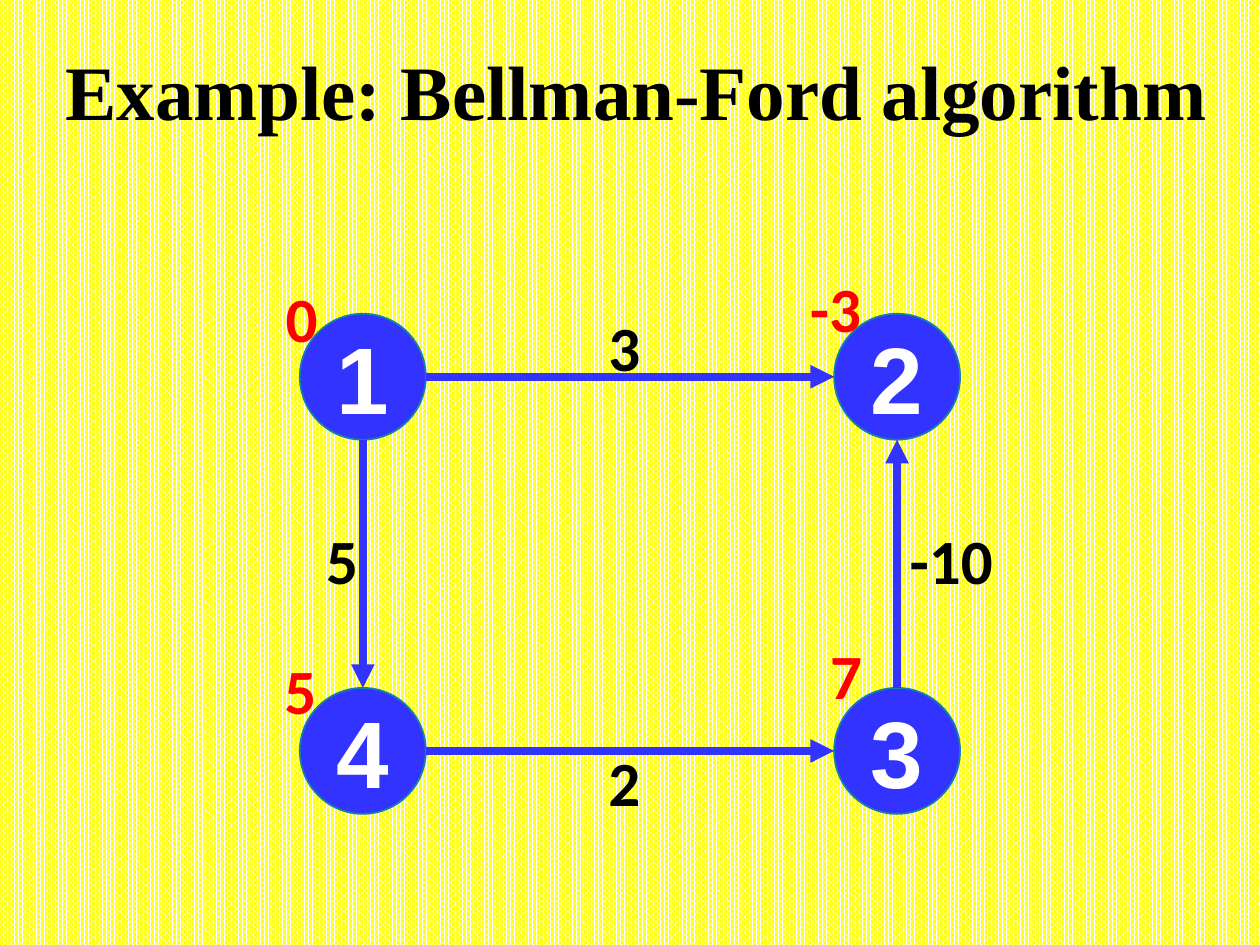
"""Build a slide showing a Bellman-Ford shortest path example graph."""
from lxml import etree
from pptx import Presentation
from pptx.dml.color import RGBColor
from pptx.enum.dml import MSO_PATTERN
from pptx.enum.shapes import MSO_CONNECTOR, MSO_SHAPE
from pptx.enum.text import MSO_ANCHOR, MSO_AUTO_SIZE, PP_ALIGN
from pptx.oxml.ns import qn
from pptx.util import Inches, Pt


def rgb(value):
    return RGBColor.from_string(value)


def write(sp, text, size, font, color, align=PP_ALIGN.CENTER):
    tf = sp.text_frame
    tf.word_wrap = True
    p = tf.paragraphs[0]
    p.alignment = align
    r = p.add_run()
    r.text = text
    r.font.size = Pt(size)
    r.font.name = font
    r.font.bold = True
    r.font.color.rgb = rgb(color)
    return tf


prs = Presentation()
prs.slide_width = Inches(10)
prs.slide_height = Inches(7.5)
s = prs.slides.add_slide(prs.slide_layouts[6])

fill = s.background.fill
fill.patterned()
fill.pattern = MSO_PATTERN.PERCENT_80
fill.fore_color.rgb = rgb("FFFFFF")
fill.back_color.rgb = rgb("FFFF00")

title = s.shapes.add_textbox(Inches(0.42), Inches(0.32), Inches(9.43), Inches(0.87))
tf = write(title, "Example: Bellman-Ford algorithm", 44, "Times New Roman", "000000", PP_ALIGN.LEFT)
tf.vertical_anchor = MSO_ANCHOR.MIDDLE
tf.paragraphs[0].line_spacing = 0.9

radius = 0.5
left, right, top, bottom = 2.88, 7.12, 2.99, 5.96
nodes = {"1": (left, top), "4": (left, bottom), "2": (right, top), "3": (right, bottom)}
for name, (x, y) in nodes.items():
    sp = s.shapes.add_shape(
        MSO_SHAPE.OVAL, Inches(x - radius), Inches(y - radius), Inches(2 * radius), Inches(2 * radius)
    )
    sp.shadow.inherit = False
    sp.fill.solid()
    sp.fill.fore_color.rgb = rgb("3333FF")
    sp.line.color.rgb = rgb("1580A9")
    sp.line.width = Pt(1)
    tf = write(sp, name, 54, "Arial", "FFFFFF")
    tf.vertical_anchor = MSO_ANCHOR.MIDDLE

for start, end in ("12", "14", "32", "43"):
    (x1, y1), (x2, y2) = nodes[start], nodes[end]
    dx = radius * ((x2 > x1) - (x2 < x1))
    dy = radius * ((y2 > y1) - (y2 < y1))
    edge = s.shapes.add_connector(
        MSO_CONNECTOR.STRAIGHT, Inches(x1 + dx), Inches(y1 + dy), Inches(x2 - dx), Inches(y2 - dy)
    )
    edge.line.color.rgb = rgb("3333FF")
    edge.line.width = Pt(4.5)
    etree.SubElement(edge.line._get_or_add_ln(), qn("a:tailEnd"), type="triangle")
    etree.SubElement(edge._element.spPr, qn("a:effectLst"))

weights = [("3", 4.64, 2.4, 0.63), ("2", 4.64, 5.85, 0.63), ("-10", 7.05, 4.09, 1), ("5", 2.4, 4.09, 0.63)]
distances = [("0", 2.08, 2.17, 0.63), ("5", 2.07, 5.12, 0.63), ("-3", 6.22, 2.09, 0.82), ("7", 6.4, 5, 0.63)]
for labels, color in ((weights, "000000"), (distances, "FF0000")):
    for text, x, y, width in labels:
        sp = s.shapes.add_textbox(Inches(x), Inches(y), Inches(width), Inches(0.71))
        tf = write(sp, text, 36, "Calibri", color)
        tf.auto_size = MSO_AUTO_SIZE.SHAPE_TO_FIT_TEXT

prs.save("out.pptx")
